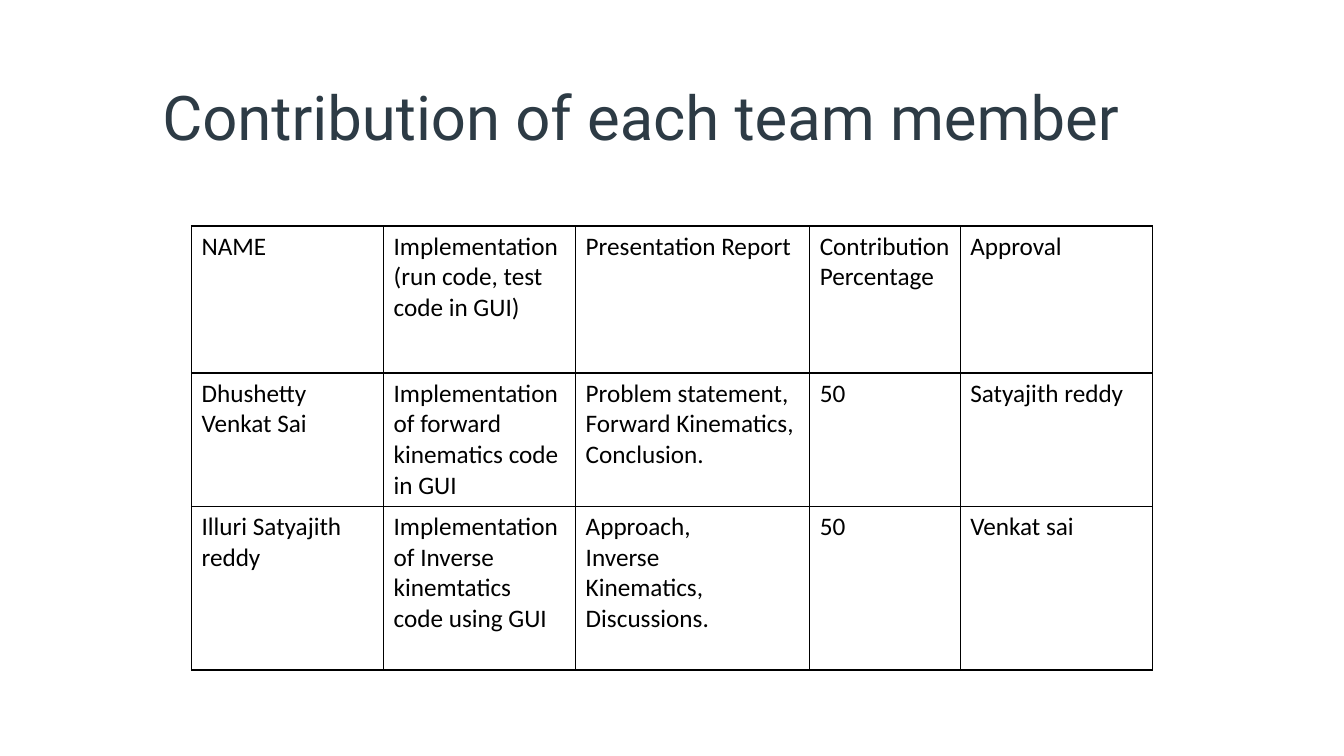
import pptx
import pptx.util
import pptx.dml.color
import pptx.enum.text
import pptx.oxml
import pptx.oxml.ns

Pt = pptx.util.Pt
Color = pptx.dml.color.RGBColor.from_string

THEME = {
    "title_font": "Roboto", "title_size": 44, "title_color": "2D3B45",
    "table_font": "Calibri", "table_size": 18, "table_color": "000000",
    "cell_fill": "FFFFFF", "border_color": "000000", "border_width": 1,
}
COLUMN_WIDTHS = [137.2, 137.2, 167.2, 107.5, 137.2]
ROW_HEIGHTS = [105, 95, 117]
CONTRIBUTIONS = [
    ["NAME", "Implementation\n(run code, test code in GUI)", "Presentation Report",
     "Contribution\nPercentage", "Approval"],
    ["Dhushetty Venkat Sai", "Implementation of forward kinematics code in GUI",
     "Problem statement,\nForward Kinematics,\nConclusion.", "50", "Satyajith reddy"],
    ["Illuri Satyajith reddy", "Implementation of Inverse kinemtatics code using GUI",
     "Approach,\nInverse\nKinematics,\nDiscussions.", "50", "Venkat sai"],
]


def style_font(font, role):
    font.name = THEME[role + "_font"]
    font.size = Pt(THEME[role + "_size"])
    font.color.rgb = Color(THEME[role + "_color"])
    font.bold = False


def add_borders(cell):
    properties = cell._tc.get_or_add_tcPr()
    for side in ("lnL", "lnR", "lnT", "lnB"):
        properties.append(pptx.oxml.parse_xml(
            f'<a:{side} {pptx.oxml.ns.nsdecls("a")} w="{Pt(THEME["border_width"])}">'
            f'<a:solidFill><a:srgbClr val="{THEME["border_color"]}"/></a:solidFill>'
            f'</a:{side}>'))


deck = pptx.Presentation()
deck.slide_width, deck.slide_height = Pt(960), Pt(540)
page = deck.slides.add_slide(deck.slide_layouts[5])

title = page.shapes.title
title.left, title.top, title.width, title.height = Pt(108.7), Pt(33.8), Pt(828), Pt(104.4)
title.text_frame.text = "Contribution of each team member"
title.text_frame.auto_size = pptx.enum.text.MSO_AUTO_SIZE.NONE
title.text_frame.vertical_anchor = pptx.enum.text.MSO_ANCHOR.MIDDLE
heading = title.text_frame.paragraphs[0]
heading.alignment = pptx.enum.text.PP_ALIGN.LEFT
heading.line_spacing = 0.9
style_font(heading.font, "title")

table = page.shapes.add_table(
    len(ROW_HEIGHTS), len(COLUMN_WIDTHS), Pt(136.8), Pt(161.5),
    Pt(sum(COLUMN_WIDTHS)), Pt(sum(ROW_HEIGHTS))).table
table.first_row = False
table.horz_banding = False
for column, width in zip(table.columns, COLUMN_WIDTHS):
    column.width = Pt(width)
for row, height, texts in zip(table.rows, ROW_HEIGHTS, CONTRIBUTIONS):
    row.height = Pt(height)
    for cell, text in zip(row.cells, texts):
        cell.text = text
        add_borders(cell)
        cell.fill.solid()
        cell.fill.fore_color.rgb = Color(THEME["cell_fill"])
        for para in cell.text_frame.paragraphs:
            style_font(para.font, "table")

deck.save("out.pptx")
